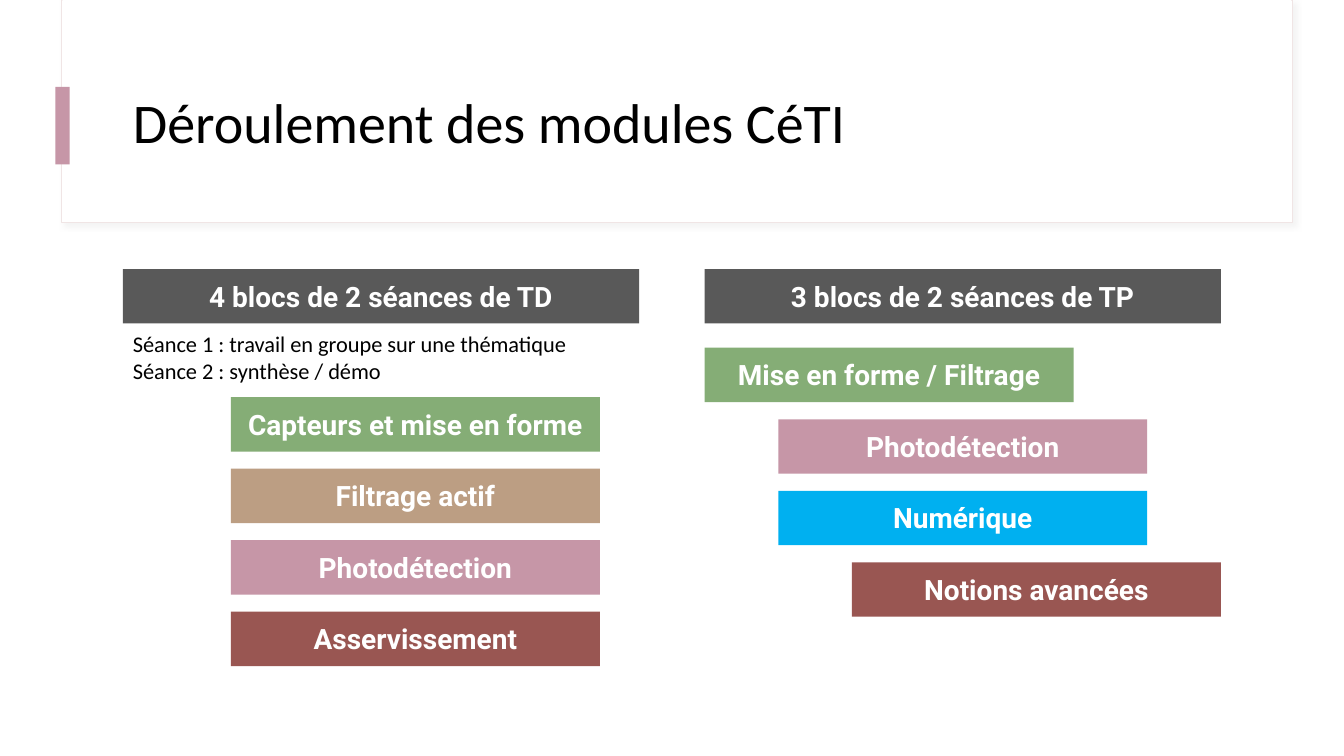
from lxml.etree import SubElement
from pptx import Presentation
from pptx.dml.color import RGBColor
from pptx.enum.shapes import MSO_SHAPE
from pptx.enum.text import MSO_ANCHOR, PP_ALIGN
from pptx.oxml.ns import qn
from pptx.util import Pt

WHITE = RGBColor(0xFF, 0xFF, 0xFF)
BLACK = RGBColor(0, 0, 0)
EDGE = RGBColor(0xF0, 0xE5, 0xE5)
SHADE = RGBColor(0xD9, 0xD9, 0xD9)
GREY = RGBColor(0x59, 0x59, 0x59)
GREEN = RGBColor(0x85, 0xAD, 0x76)
TAN = RGBColor(0xBC, 0x9E, 0x83)
PINK = RGBColor(0xC6, 0x96, 0xA7)
RED = RGBColor(0x99, 0x56, 0x52)
BLUE = RGBColor(0x00, 0xB0, 0xF0)

BAR_H = 38.9
BLOCK_W = 263.6
STEP = 51.1  # from one block to the next


def add_rect(slide, x, y, w, h, fill):
    rect = slide.shapes.add_shape(
        MSO_SHAPE.RECTANGLE, Pt(x), Pt(y), Pt(w), Pt(h))
    rect.shadow.inherit = False
    rect.fill.solid()
    rect.fill.fore_color.rgb = fill
    rect.line.fill.background()
    return rect


def add_shade(shape):
    """Soft shadow towards the lower right."""
    effects = shape.element.spPr.find(qn("a:effectLst"))
    outer = SubElement(effects, qn("a:outerShdw"), blurRad=str(Pt(4)),
                       dist=str(Pt(3)), dir="2700000", algn="tl")
    tint = SubElement(outer, qn("a:srgbClr"), val=str(SHADE))
    SubElement(tint, qn("a:alpha"), val="30000")


def style(par, name, size, color, bold=False):
    font = par.font
    font.name, font.size, font.bold = name, Pt(size), bold
    font.color.rgb = color


def add_bar(slide, x, y, w, fill, text):
    bar = add_rect(slide, x, y, w, BAR_H, fill)
    frame = bar.text_frame
    frame.margin_top = frame.margin_bottom = Pt(7.2)
    frame.vertical_anchor = MSO_ANCHOR.TOP
    frame.text = text
    par = frame.paragraphs[0]
    par.alignment = PP_ALIGN.CENTER
    style(par, "Roboto", 20, WHITE, True)


def add_text(slide, x, y, w, h, text, size):
    box = slide.shapes.add_textbox(Pt(x), Pt(y), Pt(w), Pt(h))
    frame = box.text_frame
    frame.word_wrap = True
    frame.text = text
    for par in frame.paragraphs:
        style(par, "Calibri", size, BLACK)
    return frame


def add_head(slide, x, y, w, h, title):
    # Framed panel, open at the top edge of the slide
    panel = add_rect(slide, x, y, w, h, WHITE)
    panel.line.color.rgb = EDGE
    panel.line.width = Pt(0.75)
    add_shade(panel)
    add_rect(slide, x + 0.5, y, w - 1, h - 0.7, WHITE)
    # Accent mark and title
    add_rect(slide, x - 4.4, y + 62, 10.2, 55.4, PINK)
    frame = add_text(slide, x + 43.9, y + 43.2, 800.6, 92.9, title, 40)
    frame.vertical_anchor = MSO_ANCHOR.MIDDLE
    frame.paragraphs[0].line_spacing = 0.9


def add_column(slide, x, y, w, title, top, blocks):
    """Header bar, then blocks of (indent, fill, text) from top down."""
    add_bar(slide, x, y, w, GREY, title)
    for row, (indent, fill, text) in enumerate(blocks):
        add_bar(slide, x + indent, y + top + row * STEP, BLOCK_W, fill, text)


def main():
    deck = Presentation()
    deck.slide_width, deck.slide_height = Pt(960), Pt(540)
    slide = deck.slides.add_slide(deck.slide_layouts[6])
    add_head(slide, 44, 0, 879, 159, "Déroulement des modules CéTI")

    # Tutorials on the left, lab work on the right
    left, right, y, w = 87.8, 503.3, 192.2, 368.8
    add_column(slide, left, y, w, "4 blocs de 2 séances de TD", 91.5, [
        (77.1, GREEN, "Capteurs et mise en forme"),
        (77.1, TAN, "Filtrage actif"),
        (77.1, PINK, "Photodétection"),
        (77.1, RED, "Asservissement"),
    ])
    add_text(slide, left, y + 40.3, w, 46,
             "Séance 1 : travail en groupe sur une thématique\n"
             "Séance 2 : synthèse / démo", 16)
    mid = (w - BLOCK_W) / 2
    add_column(slide, right, y, w, "3 blocs de 2 séances de TP", 56.2, [
        (0, GREEN, "Mise en forme / Filtrage"),
        (mid, PINK, "Photodétection"),
        (mid, BLUE, "Numérique"),
        (w - BLOCK_W, RED, "Notions avancées"),
    ])
    deck.save("out.pptx")


if __name__ == "__main__":
    main()
